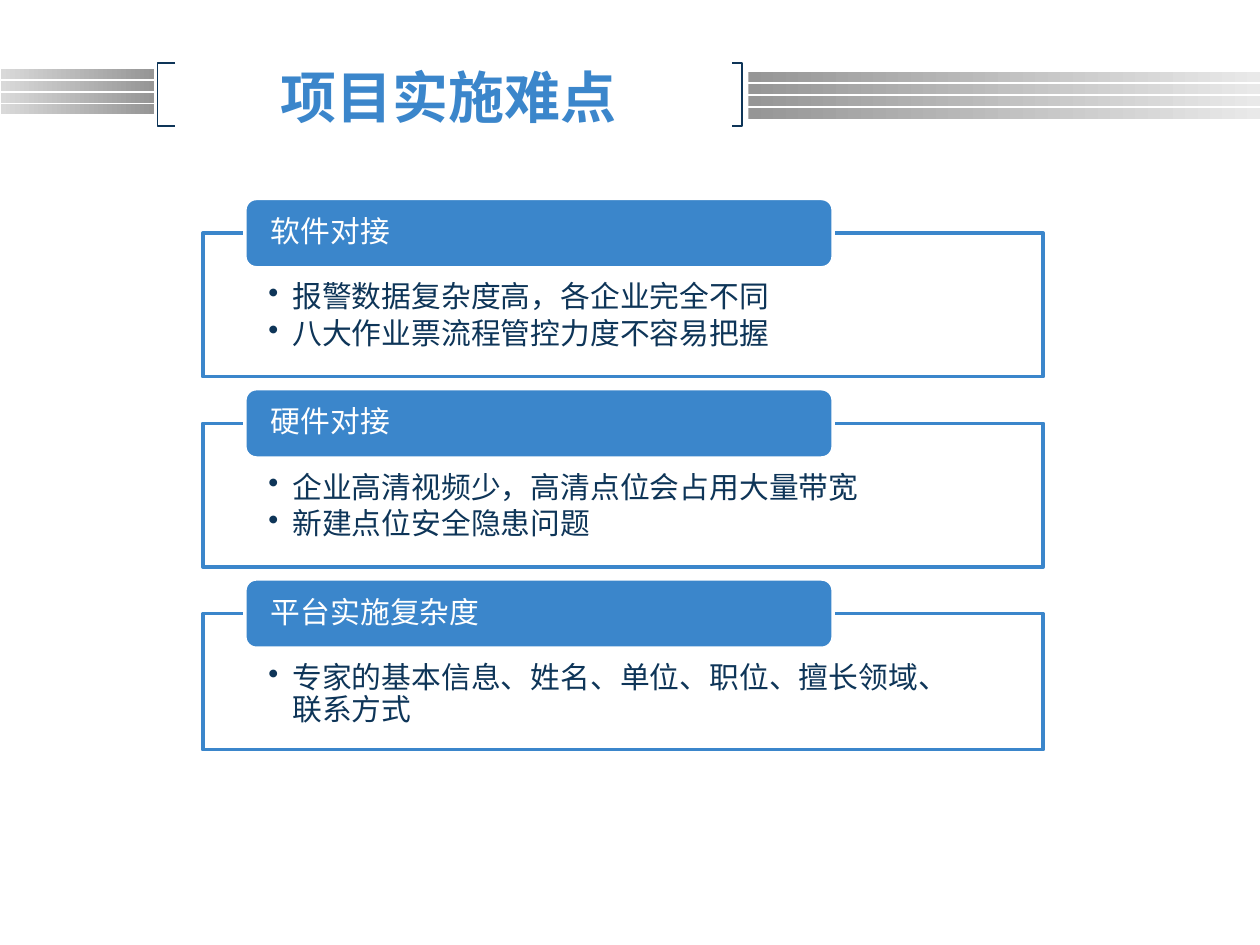
import pptx
import pptx.util
import pptx.dml.color
import pptx.enum.shapes
import pptx.enum.text
import pptx.oxml
import pptx.oxml.ns
from lxml import etree

Inches, Pt = pptx.util.Inches, pptx.util.Pt
SHAPE = pptx.enum.shapes.MSO_SHAPE
ALIGN = pptx.enum.text.PP_ALIGN
ANCHOR = pptx.enum.text.MSO_ANCHOR
qn = pptx.oxml.ns.qn

BLUE, NAVY, WHITE = "3B86CB", "0E3558", "FFFFFF"
LIGHT, GREY, PALE = "D9D9D9", "969696", "E9E9E9"


def rgb(color):
    return pptx.dml.color.RGBColor.from_string(color)


def add_text(s, lines, size=17, color=NAVY, font="Arial", bold=False, align=ALIGN.LEFT,
             anchor=ANCHOR.MIDDLE, insets=(0, 0, 0, 0), spacing=0.9, after=0, bullet=False):
    tf = s.text_frame
    tf.word_wrap = True
    tf.vertical_anchor = anchor
    tf.margin_left, tf.margin_top, tf.margin_right, tf.margin_bottom = map(Inches, insets)
    for i, line in enumerate(lines):
        p = tf.paragraphs[0] if i == 0 else tf.add_paragraph()
        if bullet:
            pPr = p._p.get_or_add_pPr()
            pPr.set("marL", str(Inches(0.19)))
            pPr.set("indent", str(Inches(-0.19)))
            etree.SubElement(pPr, qn("a:buChar")).set("char", "•")
        p.alignment = align
        p.line_spacing = spacing
        p.space_after = Pt(after)
        r = p.add_run()
        r.text = line
        r.font.size, r.font.bold, r.font.name = Pt(size), bold, font
        r.font.color.rgb = rgb(color)
        etree.SubElement(r._r.get_or_add_rPr(), qn("a:ea")).set("typeface", font)


def add_box(slide, kind, x, y, w, h, fill, line):
    s = slide.shapes.add_shape(kind, Inches(x), Inches(y), Inches(w), Inches(h))
    s.shadow.inherit = False
    s.fill.solid()
    s.fill.fore_color.rgb = rgb(fill)
    s.line.color.rgb = rgb(line)
    s.line.width = Pt(2)
    return s


def add_stripes(slide, x, y, w, pitch, start, end):
    for i in range(4):
        s = slide.shapes.add_shape(SHAPE.RECTANGLE, Inches(x), Inches(y + i * pitch),
                                   Inches(w), Inches(0.08))
        s.shadow.inherit = False
        s.line.fill.background()
        s.fill.gradient()
        s.fill.gradient_angle = 0
        for stop, color, place in zip(s.fill.gradient_stops, (start, end), (0, 1)):
            stop.color.rgb = rgb(color)
            stop.position = place


def add_bracket(slide, tip, spine, top, height):
    builder = slide.shapes.build_freeform(Inches(tip), Inches(top))
    corners = [(spine, top), (spine, top + height), (tip, top + height)]
    builder.add_line_segments([(Inches(x), Inches(y)) for x, y in corners], close=False)
    s = builder.convert_to_shape()
    s.shadow.inherit = False
    s.fill.background()
    s.line.color.rgb = rgb(NAVY)
    s.line.width = Pt(0.75)


def add_header(slide, title, x, y, w, h):
    # Striped bands and brackets on both sides of the title
    add_stripes(slide, 0.01, y + 0.05, 1.21, 0.093, LIGHT, GREY)
    add_bracket(slide, x + 0.08, x - 0.06, y, 0.5)
    add_stripes(slide, 5.94, y + 0.07, 4.06, 0.097, GREY, PALE)
    add_bracket(slide, x + w, x + w + 0.08, y, 0.5)
    s = slide.shapes.add_textbox(Inches(x), Inches(y), Inches(w), Inches(h))
    add_text(s, [title], size=32, color=BLUE, font="Noto Sans CJK SC", bold=True,
             align=ALIGN.CENTER, spacing=1.0)


def add_section(slide, heading, points, x, y, w, h):
    # Outlined body with bullets
    body = add_box(slide, SHAPE.RECTANGLE, x, y, w, h, WHITE, BLUE)
    color = body.fill._xPr.find(qn("a:solidFill"))[0]
    etree.SubElement(color, qn("a:alpha")).set("val", "90000")
    add_text(body, points, anchor=ANCHOR.TOP, insets=(0.52, 0.39, 0.52, 0.13),
             after=2.5, bullet=True)
    # Heading tab centred on the top edge
    tab_h = 0.55
    tab = add_box(slide, SHAPE.ROUNDED_RECTANGLE, x + 0.05 * w, y - tab_h / 2, 0.7 * w, tab_h,
                  BLUE, WHITE)
    add_text(tab, [heading], color=WHITE, insets=(0.18, 0, 0.18, 0))


def main():
    prs = pptx.Presentation()
    prs.slide_width, prs.slide_height = Inches(10), Inches(7.5)
    slide = prs.slides.add_slide(prs.slide_layouts[6])

    add_header(slide, "项目实施难点", 1.31, 0.5, 4.5, 0.53)

    sections = [
        ("软件对接", 1.14, ["报警数据复杂度高，各企业完全不同", "八大作业票流程管控力度不容易把握"]),
        ("硬件对接", 1.14, ["企业高清视频少，高清点位会占用大量带宽", "新建点位安全隐患问题"]),
        ("平台实施复杂度", 1.08, ["专家的基本信息、姓名、单位、职位、擅长领域、联系方式"]),
    ]
    y = 1.85
    for heading, height, points in sections:
        add_section(slide, heading, points, 1.61, y, 6.67, height)
        y += height + 0.37

    prs.save("out.pptx")


if __name__ == "__main__":
    main()
